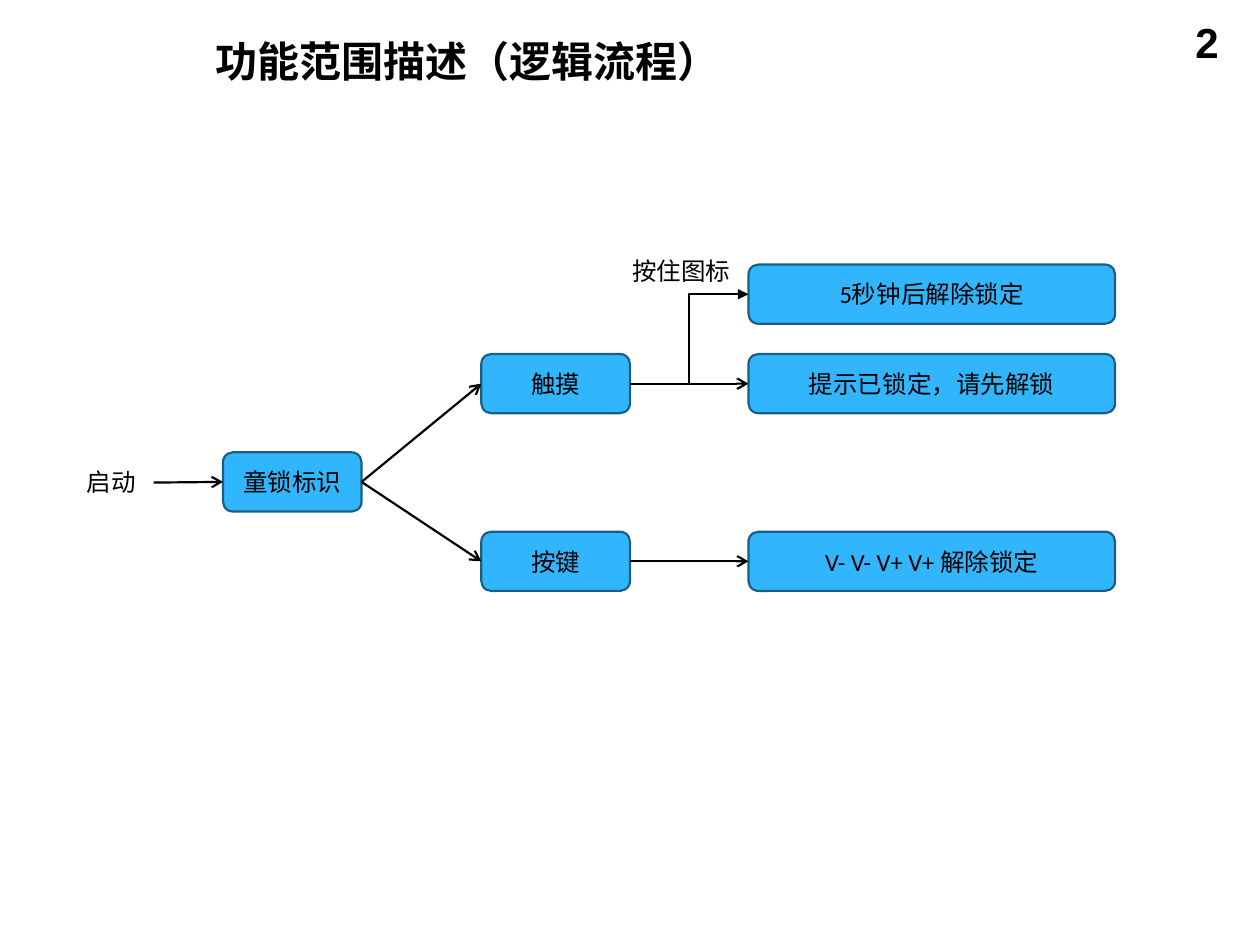
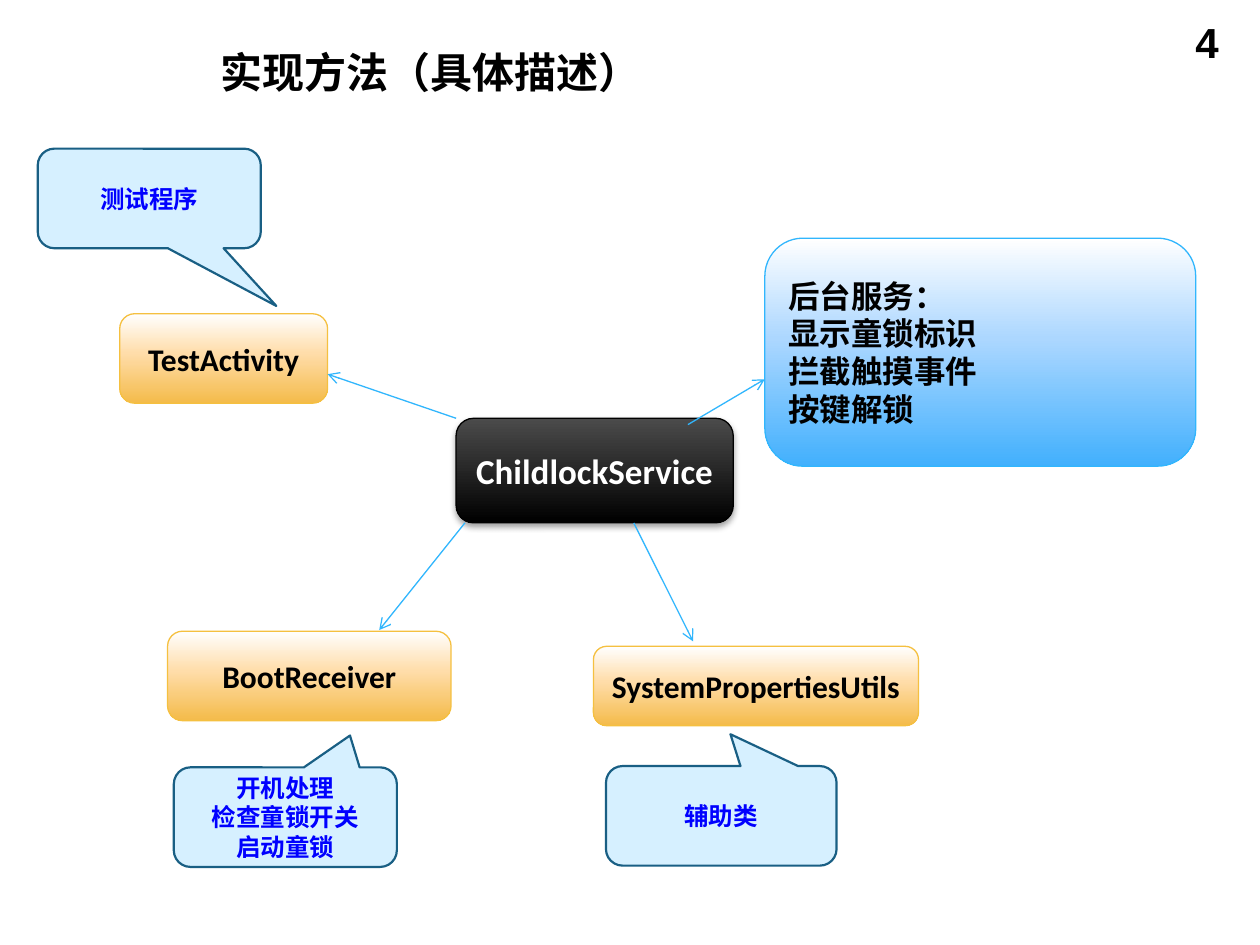
"""Build two slides on a child lock: its logic flow and its classes."""
from copy import deepcopy

from lxml.etree import SubElement
from pptx import Presentation
from pptx.dml.color import RGBColor
from pptx.enum.shapes import MSO_CONNECTOR, MSO_SHAPE
from pptx.enum.text import MSO_ANCHOR, PP_ALIGN
from pptx.oxml.ns import qn
from pptx.util import Inches, Pt

BLACK = RGBColor(0x00, 0x00, 0x00)
WHITE = RGBColor(0xFF, 0xFF, 0xFF)
CHARCOAL = RGBColor(0x4B, 0x4B, 0x4B)
SKY = RGBColor(0x31, 0xB6, 0xFD)
NAVY = RGBColor(0x19, 0x5F, 0x84)
PALE = RGBColor(0xD6, 0xF0, 0xFF)
BLUE = RGBColor(0x00, 0x00, 0xFF)
AMBER = RGBColor(0xF5, 0xC0, 0x40)

DARK_FADE = [(0, CHARCOAL), (1, BLACK)]
AMBER_FADE = [(0, WHITE), (0.44, RGBColor(0xFF, 0xDD, 0xAA)), (1, RGBColor(0xF4, 0xBB, 0x4A))]
SKY_FADE = [(0, WHITE), (0.44, RGBColor(0xAC, 0xD7, 0xFF)), (1, RGBColor(0x42, 0xB0, 0xFD))]

FLOW_TITLE = ("功能范围描述（逻辑流程）", "Arial", (1.61, 0.21, 8.19, 0.55), "2")
FLOW_COLUMNS = {"lock": (1.77, 1.1), "input": (3.82, 1.18), "result": (5.94, 2.91)}
FLOW_ROWS = {"hold": 2.1, "touch": 2.81, "start": 3.59, "key": 4.22}
FLOW_H = 0.47
FLOW_NODES = [
    ("lock", "start", "童锁标识"),
    ("input", "touch", "触摸"),
    ("input", "key", "按键"),
    ("result", "hold", "5秒钟后解除锁定"),
    ("result", "touch", "提示已锁定，请先解锁"),
    ("result", "key", "V- V- V+ V+ 解除锁定"),
]
FLOW_LABELS = {"启动": (0.59, 3.66, 0.63, 0.34), "按住图标": (4.92, 1.98, 1.02, 0.34)}
FLOW_LINKS = [
    ("启动", "童锁标识"),
    ("童锁标识", "触摸"),
    ("童锁标识", "按键"),
    ("触摸", "提示已锁定，请先解锁"),
    ("按键", "V- V- V+ V+ 解除锁定"),
]
HOLD_LINK = ("触摸", "5秒钟后解除锁定")

CLASS_TITLE = ("实现方法（具体描述）", "Calibri", (1.65, 0.3, 7.85, 0.54), "4")
SERVICE = ("ChildlockService", (3.62, 3.32, 2.2, 0.83))
CLASSES = [
    ("TestActivity", (0.95, 2.49, 1.65, 0.71)),
    ("BootReceiver", (1.33, 5.01, 2.25, 0.71)),
    ("SystemPropertiesUtils", (4.71, 5.13, 2.58, 0.63)),
]
DUTIES = ("后台服务：\n显示童锁标识\n拦截触摸事件\n按键解锁", (6.07, 1.89, 3.42, 1.81))
CALLOUTS = [
    ("测试程序", (0.3, 1.18, 1.77, 0.79), (0.57, 1.08)),
    ("开机处理\v检查童锁开关\v启动童锁", (1.38, 6.09, 1.77, 0.79), (0.29, -0.82)),
    ("辅助类", (4.81, 6.08, 1.83, 0.79), (0.04, -0.82)),
]
CLASS_ARROWS = [
    (3.62, 3.32, 2.6, 2.97),
    (3.69, 4.15, 3.01, 5),
    (5.03, 4.15, 5.5, 5.09),
    (5.46, 3.37, 6.07, 3.01),
]


def write(s, text, size, font="Calibri", color=BLACK, bold=False,
          align=PP_ALIGN.CENTER, anchor=MSO_ANCHOR.MIDDLE):
    tf = s.text_frame
    tf.text = text
    tf.word_wrap = True
    tf.vertical_anchor = anchor
    for p in tf.paragraphs:
        p.alignment = align
        p.font.size, p.font.name, p.font.bold = Pt(size), font, bold
        p.font.color.rgb = color


def add_label(slide, text, box, size, **style):
    s = slide.shapes.add_textbox(*map(Inches, box))
    write(s, text, size, font="Arial", anchor=MSO_ANCHOR.TOP, **style)
    return s


def add_box(slide, text, box, fill, line, width, size, kind=MSO_SHAPE.ROUNDED_RECTANGLE, **style):
    s = slide.shapes.add_shape(kind, *map(Inches, box))
    s.shadow.inherit = False
    if isinstance(fill, list):
        fade(s, fill)
    else:
        s.fill.solid()
        s.fill.fore_color.rgb = fill
    s.line.color.rgb = line
    s.line.width = Pt(width)
    write(s, text, size, **style)
    return s


def fade(s, stops):
    s.fill.gradient()
    s.fill.gradient_angle = 270
    gs_list = s._element.spPr.find(".//" + qn("a:gsLst"))
    while len(gs_list) < len(stops):
        gs_list.append(deepcopy(gs_list[0]))
    for stop, (position, color) in zip(s.fill.gradient_stops, stops):
        stop.position = position
        stop.color.rgb = color


def cast_shadow(s):
    effects = s._element.spPr.find(qn("a:effectLst"))
    shadow = SubElement(effects, qn("a:outerShdw"), blurRad=str(Pt(4)), dist=str(Pt(2)),
                        dir="5400000", rotWithShape="0")
    color = SubElement(shadow, qn("a:srgbClr"), val=str(BLACK))
    SubElement(color, qn("a:alpha"), val="38000")


def add_arrow(slide, ends, color, width, kind=MSO_CONNECTOR.STRAIGHT, head="arrow"):
    c = slide.shapes.add_connector(kind, *map(Inches, ends))
    c.line.color.rgb = color
    c.line.width = Pt(width)
    SubElement(c.line._get_or_add_ln(), qn("a:tailEnd"), type=head)
    SubElement(c._element.spPr, qn("a:effectLst"))
    return c


def link(slide, start, end, **style):
    c = add_arrow(slide, (0, 0, 0, 0), BLACK, 1.25, **style)
    c.begin_connect(start, 3)
    c.end_connect(end, 1)


def add_slide(prs, title, font, box, number):
    slide = prs.slides.add_slide(prs.slide_layouts[5])
    s = slide.shapes.title
    s.left, s.top, s.width, s.height = map(Inches, box)
    write(s, title, 24, font=font, bold=True, align=PP_ALIGN.LEFT)
    add_label(slide, number, (7.44, 0.08, 2.33, 0.52), 24, bold=True, align=PP_ALIGN.RIGHT)
    return slide


def build_flow(prs):
    slide = add_slide(prs, *FLOW_TITLE)
    nodes = {}
    for column, row, text in FLOW_NODES:
        left, width = FLOW_COLUMNS[column]
        box = (left, FLOW_ROWS[row], width, FLOW_H)
        nodes[text] = add_box(slide, text, box, SKY, NAVY, 1.25, 14)
    for text, box in FLOW_LABELS.items():
        nodes[text] = add_label(slide, text, box, 14, align=PP_ALIGN.LEFT)
    for start, end in FLOW_LINKS:
        link(slide, nodes[start], nodes[end])
    start, end = HOLD_LINK
    link(slide, nodes[start], nodes[end], kind=MSO_CONNECTOR.ELBOW, head="triangle")


def build_classes(prs):
    slide = add_slide(prs, *CLASS_TITLE)
    cast_shadow(add_box(slide, *SERVICE, DARK_FADE, BLACK, 0.75, 20, color=WHITE, bold=True))
    for text, box in CLASSES:
        add_box(slide, text, box, AMBER_FADE, AMBER, 0.75, 18, bold=True)
    for ends in CLASS_ARROWS:
        add_arrow(slide, ends, SKY, 0.75)
    add_box(slide, *DUTIES, SKY_FADE, SKY, 0.75, 18, bold=True, align=PP_ALIGN.LEFT)
    for text, box, tip in CALLOUTS:
        s = add_box(slide, text, box, PALE, NAVY, 1.25, 14, color=BLUE, bold=True,
                    kind=MSO_SHAPE.ROUNDED_RECTANGULAR_CALLOUT)
        s.adjustments[0], s.adjustments[1] = tip


prs = Presentation()
prs.slide_width, prs.slide_height = Inches(10), Inches(7.5)
build_flow(prs)
build_classes(prs)
prs.save("out.pptx")
